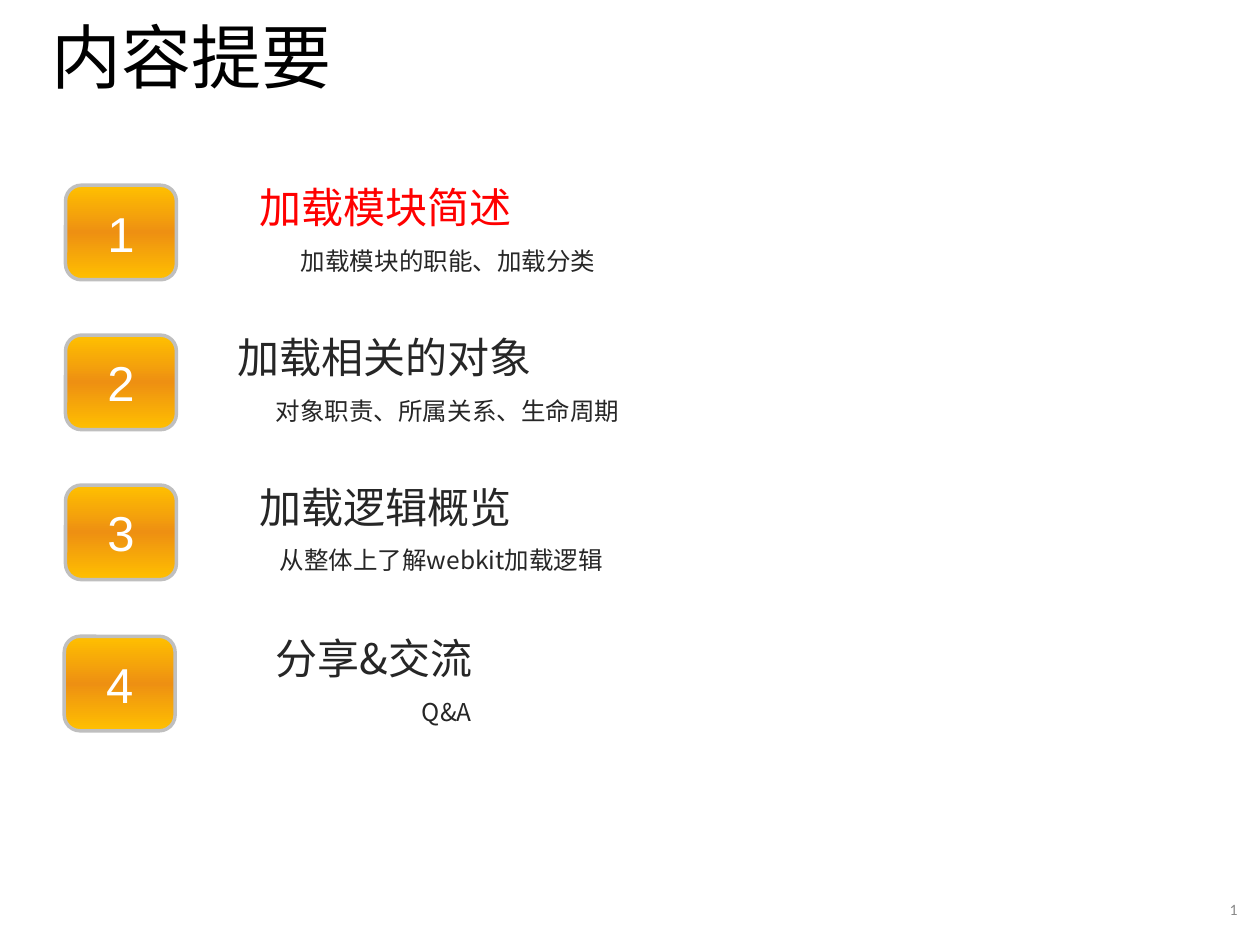
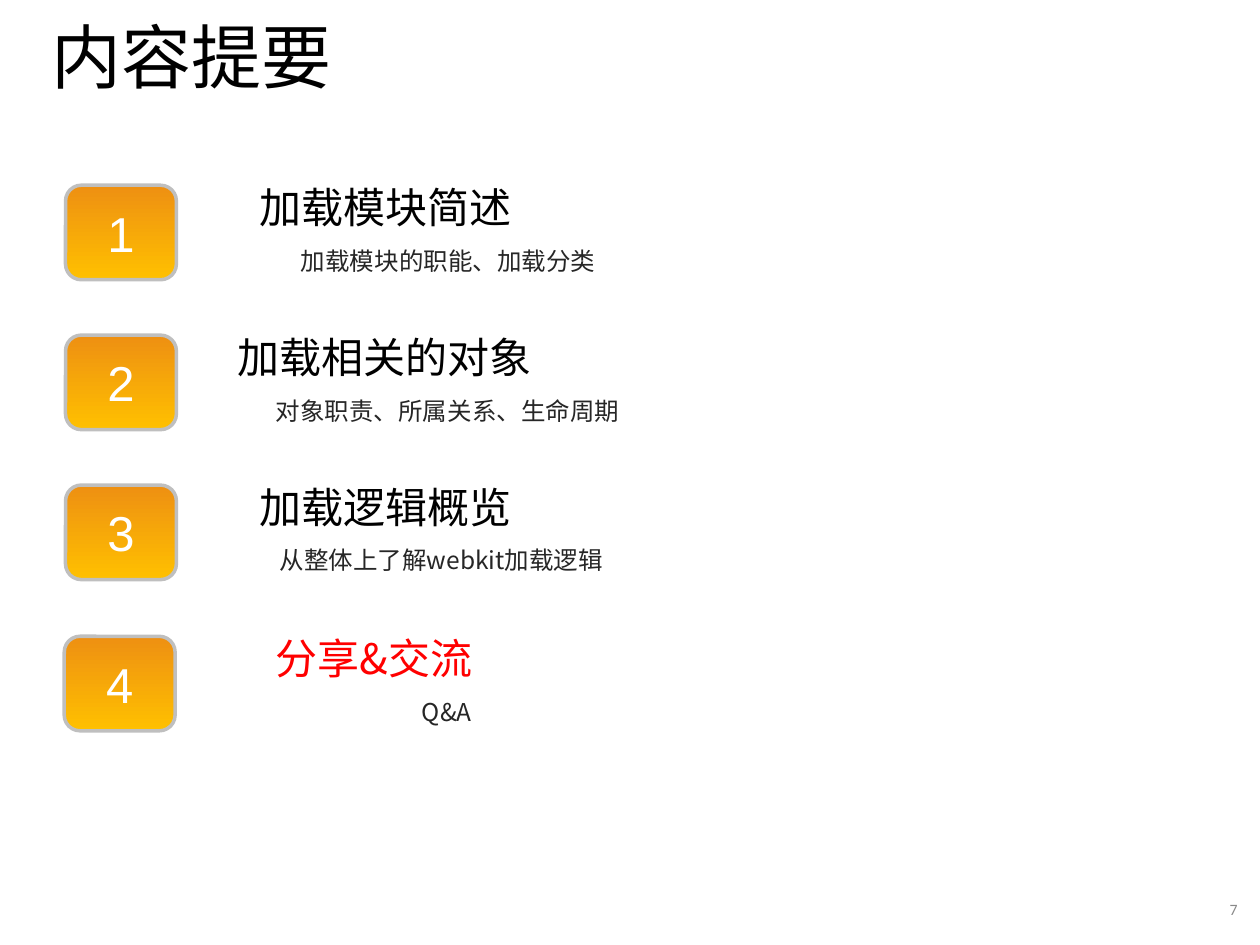
from dataclasses import dataclass

from lxml import etree
from pptx import Presentation
from pptx import util as u
from pptx.dml.color import RGBColor
from pptx.enum import shapes, text
from pptx.oxml.ns import qn

PX = 9144  # 100 px to the inch

COLORS = {
    "title": "000000",
    "page": "898989",
    "current": "FF0000",
    "body": "262626",
    "badge_text": "FFFFFF",
    "badge_edge": "BFBFBF",
    "amber": "FFC000",
    "orange": "EE9012",
}
LATIN, BADGE_FONT, CJK = "Calibri", "Arial", "Noto Sans CJK SC"

FIRST_ROW = 139
THREE_ROWS = 358  # height of three row steps
BADGE_DROP, DETAIL_DROP = 8, 51


@dataclass(frozen=True)
class Box:
    left: int
    top: int
    width: int
    height: int

    def emu(self) -> list[u.Emu]:
        return [u.Emu(n * PX) for n in (self.left, self.top, self.width, self.height)]


@dataclass(frozen=True)
class Style:
    size: int
    font: str
    color: str
    align: text.PP_ALIGN = text.PP_ALIGN.LEFT


@dataclass(frozen=True)
class Topic:
    heading: str
    heading_left: int
    heading_width: int
    detail: str
    detail_left: int
    detail_width: int
    badge_left: int = 52


@dataclass(frozen=True)
class Agenda:
    page: str
    current: int  # number of the highlighted topic
    heading_color: str
    badge_stops: tuple[tuple[int, str], ...]


TOPICS = [
    Topic("加载模块简述", 196, 220, "加载模块的职能、加载分类", 229, 254),
    Topic("加载相关的对象", 179, 253, "对象职责、所属关系、生命周期", 209, 293),
    Topic("加载逻辑概览", 196, 220, "从整体上了解webkit加载逻辑", 212, 286),
    Topic("分享&交流", 209, 192, "Q&A", 325, 62, badge_left=51),
]

AGENDAS = [
    Agenda("1", 1, "body", ((0, "amber"), (50, "orange"), (100, "amber"))),
    Agenda("7", 4, "title", ((0, "orange"), (100, "amber"))),
]


def rgb(name: str) -> RGBColor:
    return RGBColor.from_string(COLORS[name])


def write(frame, words: str, style: Style) -> None:
    paragraph = frame.paragraphs[0]
    paragraph.alignment = style.align
    run = paragraph.add_run()
    run.text = words
    run.font.size = u.Pt(style.size)
    run.font.name = style.font
    run.font.color.rgb = rgb(style.color)
    # East Asian characters take their own typeface
    etree.SubElement(run.font._element, qn("a:ea")).set("typeface", CJK)


def add_text(slide, box: Box, words: str, style: Style, fitted: bool = False) -> None:
    frame = slide.shapes.add_textbox(*box.emu()).text_frame
    frame.word_wrap = not fitted
    if fitted:
        frame.auto_size = text.MSO_AUTO_SIZE.SHAPE_TO_FIT_TEXT
    else:
        frame.vertical_anchor = text.MSO_ANCHOR.MIDDLE
    write(frame, words, style)


def add_badge(slide, box: Box, number: int, stops: tuple[tuple[int, str], ...]) -> None:
    badge = slide.shapes.add_shape(shapes.MSO_SHAPE.ROUNDED_RECTANGLE, *box.emu())
    badge.shadow.inherit = False
    badge.line.color.rgb = rgb("badge_edge")
    badge.line.width = u.Pt(2)

    # Vertical gradient with any number of stops
    badge.fill.gradient()
    badge.fill.gradient_angle = 270
    stop_list = badge._element.spPr.find(qn("a:gradFill")).find(qn("a:gsLst"))
    for old_stop in list(stop_list):
        stop_list.remove(old_stop)
    for percent, color in stops:
        stop = etree.SubElement(stop_list, qn("a:gs"), pos=str(percent * 1000))
        etree.SubElement(stop, qn("a:srgbClr"), val=COLORS[color])

    badge.text_frame.vertical_anchor = text.MSO_ANCHOR.MIDDLE
    write(badge.text_frame, str(number),
          Style(28, BADGE_FONT, "badge_text", text.PP_ALIGN.CENTER))


def add_agenda(deck, agenda: Agenda) -> None:
    slide = deck.slides.add_slide(deck.slide_layouts[6])

    # Title and page number
    add_text(slide, Box(31, 16, 842, 56), "内容提要", Style(40, LATIN, "title"))
    add_text(slide, Box(759, 702, 233, 40), agenda.page,
             Style(9, LATIN, "page", text.PP_ALIGN.RIGHT))

    # Numbered topics
    for number, topic in enumerate(TOPICS, start=1):
        top = FIRST_ROW + (number - 1) * THREE_ROWS // 3
        color = "current" if number == agenda.current else agenda.heading_color
        add_text(slide, Box(topic.heading_left, top, topic.heading_width, 50),
                 topic.heading, Style(24, CJK, color), fitted=True)
        add_badge(slide, Box(topic.badge_left, top + BADGE_DROP, 88, 75),
                  number, agenda.badge_stops)
        add_text(slide, Box(topic.detail_left, top + DETAIL_DROP, topic.detail_width, 34),
                 topic.detail, Style(14, CJK, "body"), fitted=True)


def main() -> None:
    deck = Presentation()
    deck.slide_width, deck.slide_height = u.Emu(1000 * PX), u.Emu(750 * PX)
    for agenda in AGENDAS:
        add_agenda(deck, agenda)
    deck.save("out.pptx")


if __name__ == "__main__":
    main()
